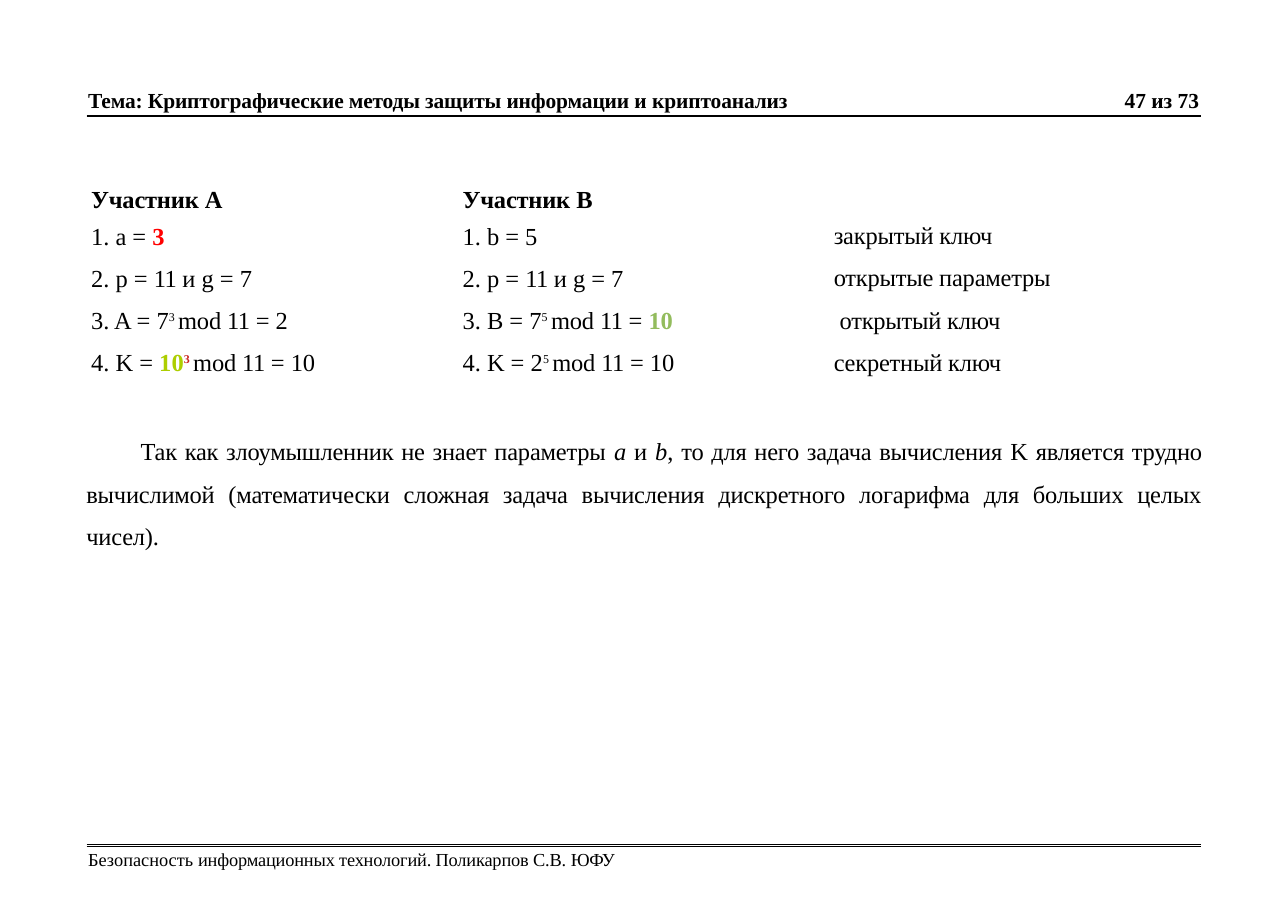
from lxml import etree
from pptx import Presentation
from pptx.dml.color import RGBColor
from pptx.enum.shapes import MSO_CONNECTOR
from pptx.enum.text import MSO_ANCHOR, MSO_AUTO_SIZE, PP_ALIGN
from pptx.oxml.ns import qn
from pptx.util import Pt

LEFT, JUSTIFY = PP_ALIGN.LEFT, PP_ALIGN.JUSTIFY
TOP, FIXED = MSO_ANCHOR.TOP, MSO_AUTO_SIZE.NONE
STRAIGHT = MSO_CONNECTOR.STRAIGHT

FONT = "Times New Roman"
COLORS = {"black": "000000", "red": "FF0000", "lime": "ADCE00",
          "crimson": "C8201D", "green": "93BC5D"}
STYLES = {
    "plain": {},
    "tight": {"spacing": -10},
    "eleven": {"spacing": -30},
    "base": {"spacing": 10},
    "bold": {"bold": True},
    "bold tight": {"bold": True, "spacing": -10},
    "italic": {"italic": True},
    "power": {"size": 13.5, "spacing": 10, "raised": True},
    "secret power": {"size": 13.5, "spacing": 10, "raised": True,
                     "bold": True, "color": "crimson"},
    "secret": {"bold": True, "color": "red"},
    "public base": {"bold": True, "color": "lime", "spacing": 10},
    "public": {"bold": True, "color": "green"},
}

HEADER = [("Тема: Криптографические методы защиты информации ", "bold tight"),
          ("и ", "bold"), ("криптоанализ", "bold tight")]
PAGE_NUMBER = [("47 из 73", "bold")]
PARAMETERS = [("2. p = ", "plain"), ("11 ", "eleven"), ("и g = 7", "plain")]
MODULO = [("mod ", "tight"), ("11 ", "eleven")]
PARTY_A = [
    [("Участник ", "bold tight"), ("A", "bold")],
    [("1. a = ", "plain"), ("3", "secret")],
    PARAMETERS,
    [("3. A = ", "plain"), ("7", "base"), ("3 ", "power"), *MODULO, ("= 2", "plain")],
    [("4. K = ", "plain"), ("10", "public base"), ("3 ", "secret power"),
     *MODULO, ("= 10", "plain")],
]
PARTY_B = [
    [("Участник ", "bold tight"), ("B", "bold")],
    [("1. b = 5", "plain")],
    PARAMETERS,
    [("3. B = ", "plain"), ("7", "base"), ("5 ", "power"), *MODULO,
     ("= ", "plain"), ("10", "public")],
    [("4. K = ", "plain"), ("2", "base"), ("5 ", "power"), *MODULO, ("= 10", "plain")],
]
KEY_KINDS = [[(text, "tight")] for text in (
    "закрытый ключ", "открытые параметры", "открытый ключ", "секретный ключ")]
CONCLUSION = [
    ("Так как злоумышленник не знает параметры ", "tight"), ("a ", "italic"),
    ("и ", "plain"), ("b", "italic"), (", ", "plain"),
    ("то для него задача вычисления ", "tight"), ("K ", "plain"),
    ("является трудно вычислимой (математически сложная задача вычисления "
     "дискретного логарифма для больших целых чисел).", "tight"),
]
FOOTER = [("Безопасность ", "plain"),
          ("информационных технологий. Поликарпов С.В. ", "tight"),
          ("ЮФУ", "eleven")]

PAGE_WIDTH, PAGE_HEIGHT = 841.89, 595.28
MARGIN, RIGHT = 56.7, 785.1
COLUMN_STEP = 242.8
COLUMN_TOP, COLUMN_HEIGHT = 114.5, 132.5
ROW_GAPS = [0, 4.7, 8.4, 8.4, 8.4]
RULES = [(75.6, 0.5), (76.3, 0.5), (551.5, 0.25), (553, 0.75)]


def add_span(para, text, size, color="black", bold=False, italic=False,
             spacing=0, raised=False):
    span = para.add_run()
    span.text = text
    font = span.font
    font.name, font.size = FONT, Pt(size)
    font.bold, font.italic = bold, italic
    font.color.rgb = RGBColor.from_string(COLORS[color])
    properties = span._r.get_or_add_rPr()
    if spacing:
        properties.set("spc", str(spacing))
    if raised:
        properties.set("baseline", "40000")


def fill_box(box, place, paragraphs, size=16, inset=0.9, indents=(0.9,),
             first_line=0, gaps=(0,), line_spacing=1.0, align=LEFT):
    box.left, box.top, box.width, box.height = map(Pt, place)
    frame = box.text_frame
    frame.word_wrap, frame.auto_size = True, FIXED
    frame.vertical_anchor = TOP
    frame.margin_left = frame.margin_right = frame.margin_bottom = 0
    frame.margin_top = Pt(inset)
    for i, spans in enumerate(paragraphs):
        para = frame.paragraphs[0] if i == 0 else frame.add_paragraph()
        properties = para._p.get_or_add_pPr()
        properties.set("marL", str(Pt(indents[i % len(indents)])))
        properties.set("indent", str(Pt(first_line)))
        etree.SubElement(properties, qn("a:buNone"))
        para.alignment, para.line_spacing = align, line_spacing
        para.space_before, para.space_after = Pt(gaps[i % len(gaps)]), Pt(0)
        for text, style in spans:
            add_span(para, text, **{"size": size, **STYLES[style]})


def add_text(page, place, paragraphs, **layout):
    box = page.shapes.add_textbox(*map(Pt, place))
    fill_box(box, place, paragraphs, **layout)


def add_rule(page, y, weight):
    rule = page.shapes.add_connector(STRAIGHT, Pt(MARGIN), Pt(y), Pt(RIGHT), Pt(y))
    rule.line.color.rgb = RGBColor.from_string(COLORS["black"])
    rule.line.width = Pt(weight)
    etree.SubElement(rule._element.spPr, qn("a:effectLst"))


def main():
    deck = Presentation()
    deck.slide_width, deck.slide_height = Pt(PAGE_WIDTH), Pt(PAGE_HEIGHT)
    page = deck.slides.add_slide(deck.slide_layouts[3])
    title, *parties = page.placeholders

    fill_box(title, (MARGIN, 56.3, 500, 18.7), [HEADER], size=14)
    add_text(page, (734.2, 56.3, 52, 18.7), [PAGE_NUMBER], size=14)

    for i, (box, rows) in enumerate(zip(parties, (PARTY_A, PARTY_B))):
        place = (MARGIN + i * COLUMN_STEP, COLUMN_TOP, 200, COLUMN_HEIGHT)
        fill_box(box, place, rows, inset=5.8, indents=(2.9,), gaps=ROW_GAPS)
    add_text(page, (544.1, 134.6, 200, 112.4), KEY_KINDS,
             indents=(0.9, 0.9, 4.7, 0.9), line_spacing=1.44)

    add_text(page, (55.6, 275.8, 730.2, 85), [CONCLUSION], first_line=35.4,
             line_spacing=1.44, align=JUSTIFY)
    add_text(page, (MARGIN, 554.4, 400, 15.1), [FOOTER], size=12, inset=0,
             line_spacing=Pt(14.1))
    for y, weight in RULES:
        add_rule(page, y, weight)
    deck.save("out.pptx")


if __name__ == "__main__":
    main()
